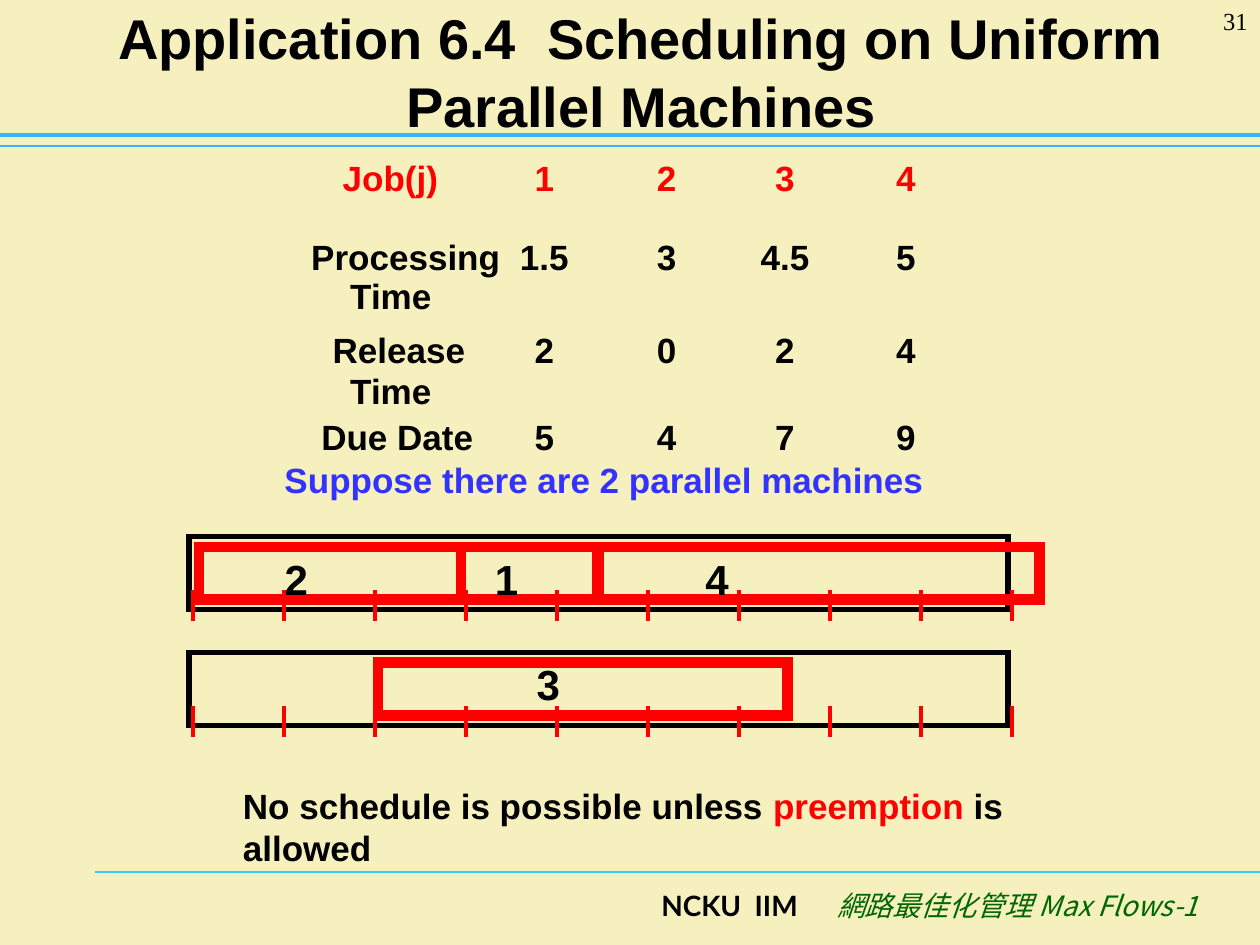
from lxml.etree import SubElement
from pptx import Presentation
from pptx.dml.color import RGBColor
from pptx.enum.shapes import MSO_CONNECTOR, MSO_SHAPE
from pptx.enum.text import MSO_ANCHOR, PP_ALIGN
from pptx.oxml.ns import qn
from pptx.util import Inches, Pt

COLORS = {
    "background": "F5F0BD",
    "black": "000000",
    "red": "FF0000",
    "blue": "3333FF",
    "green": "006600",
    "sky": "3DB0FF",
    "cyan": "33CCFF",
}


def rgb(name):
    return RGBColor.from_string(COLORS[name])


class SlideBuilder:
    def __init__(self, slide, font="Arial"):
        self.slide = slide
        self.font = font
        fill = slide.background.fill
        fill.solid()
        fill.fore_color.rgb = rgb("background")

    def text(self, x, y, w, h, parts, size=20, align=PP_ALIGN.LEFT,
             anchor=MSO_ANCHOR.TOP, font=None, bold=True, italic=False,
             inset=(0.1, 0.05)):
        """Add a one-paragraph box; parts is a list of (text, color name)."""
        sp = self.slide.shapes.add_textbox(
            Inches(x), Inches(y), Inches(w), Inches(h))
        tf = sp.text_frame
        tf.word_wrap = True
        tf.vertical_anchor = anchor
        tf.margin_left = tf.margin_right = Inches(inset[0])
        tf.margin_top = tf.margin_bottom = Inches(inset[1])
        p = tf.paragraphs[0]
        p.alignment = align
        for content, color in parts:
            r = p.add_run()
            r.text = content
            r.font.size = Pt(size)
            r.font.name = font or self.font
            r.font.bold = bold
            r.font.italic = italic
            r.font.color.rgb = rgb(color)
            ea = SubElement(r.font._element, qn("a:ea"))
            ea.set("typeface", font or self.font)

    def line(self, x1, y1, x2, y2, color, width):
        cn = self.slide.shapes.add_connector(
            MSO_CONNECTOR.STRAIGHT,
            Inches(x1), Inches(y1), Inches(x2), Inches(y2))
        cn.line.color.rgb = rgb(color)
        cn.line.width = Pt(width)
        SubElement(cn._element.spPr, qn("a:effectLst"))

    def frame(self, x, y, w, h, color, width):
        """Add an unfilled rectangle with square corners."""
        sp = self.slide.shapes.add_shape(
            MSO_SHAPE.RECTANGLE, Inches(x), Inches(y), Inches(w), Inches(h))
        sp.shadow.inherit = False
        sp.fill.background()
        sp.line.color.rgb = rgb(color)
        sp.line.width = Pt(width)
        miter = SubElement(sp._element.spPr.find(qn("a:ln")), qn("a:miter"))
        miter.set("lim", "800000")


def add_master_parts(s):
    s.line(0.75, 6.92, 10, 6.92, "cyan", 0.75)
    s.line(0, 1.16, 10, 1.16, "sky", 0.75)
    s.line(0, 1.07, 10, 1.07, "sky", 2.5)
    s.text(4.43, 7, 2, 0.5, [("NCKU  IIM", "black")], size=16,
           align=PP_ALIGN.RIGHT, font="Lato")
    s.text(6.43, 7, 3.18, 0.5, [("網路最佳化管理 Max Flows-1", "green")], size=16,
           align=PP_ALIGN.RIGHT, font="Noto Sans CJK SC", bold=False,
           italic=True)
    s.text(9.17, 0, 0.83, 0.5, [("31", "black")], size=14,
           align=PP_ALIGN.RIGHT, font="Times New Roman", bold=False)


def add_job_data(s):
    # label, left, width, top
    labels = [
        ("Job(j)", 2.72, 0.9, 1.24),
        ("Processing", 2.47, 1.62, 1.87),
        ("Time", 2.78, 0.8, 2.18),
        ("Release", 2.64, 1.2, 2.61),
        ("Time", 2.78, 0.8, 2.93),
        ("Due Date", 2.55, 1.4, 3.3),
    ]
    rows = [
        (1.24, ["1", "2", "3", "4"]),
        (1.87, ["1.5", "3", "4.5", "5"]),
        (2.61, ["2", "0", "2", "4"]),
        (3.3, ["5", "4", "7", "9"]),
    ]
    centers = [4.32, 5.29, 6.23, 7.19]
    header_top = rows[0][0]

    for label, x, w, y in labels:
        color = "red" if y == header_top else "black"
        s.text(x, y, w, 0.33, [(label, color)], inset=(0, 0))
    for y, values in rows:
        color = "red" if y == header_top else "black"
        for center, value in zip(centers, values):
            w = 0.45 if "." in value else 0.2
            s.text(center - w / 2, y, w, 0.33, [(value, color)],
                   align=PP_ALIGN.CENTER, inset=(0, 0))


def add_schedule(s):
    machine_tops = [4.26, 5.18]
    periods = 9
    first_tick, last_tick = 1.53, 8.03
    step = (last_tick - first_tick) / periods
    # job, machine, bar left, bar width, label left, label top
    jobs = [
        ("2", 0, 1.58, 2.08, 2.16, 4.34),
        ("1", 0, 3.66, 1.08, 3.83, 4.34),
        ("3", 1, 3, 3.25, 4.16, 5.18),
        ("4", 0, 4.75, 3.5, 5.5, 4.34),
    ]

    for top in machine_tops:
        s.frame(1.5, top, 6.5, 0.58, "black", 3)
    for top in machine_tops:
        for i in range(periods + 1):
            x = first_tick + i * step
            s.line(x, top + 0.42, x, top + 0.67, "red", 2.25)
    for job, machine, x, w, label_x, label_y in jobs:
        s.frame(x, machine_tops[machine] + 0.08, w, 0.42, "red", 6)
    for job, machine, x, w, label_x, label_y in jobs:
        s.text(label_x, label_y, 0.92, 0.5, [(job, "black")], size=24)


def main():
    prs = Presentation()
    prs.slide_width, prs.slide_height = Inches(10), Inches(7.5)
    s = SlideBuilder(prs.slides.add_slide(prs.slide_layouts[6]))

    add_master_parts(s)
    s.text(0.43, 0.13, 9.32, 0.87,
           [("Application 6.4  Scheduling on Uniform Parallel Machines",
             "black")],
           size=32, align=PP_ALIGN.CENTER, anchor=MSO_ANCHOR.MIDDLE)
    add_job_data(s)
    s.text(2.16, 3.59, 5.83, 0.44,
           [("Suppose there are 2 parallel machines", "blue")])
    add_schedule(s)
    s.text(1.83, 6.18, 7, 0.77,
           [("No schedule is possible unless ", "black"),
            ("preemption", "red"), (" is allowed", "black")])
    prs.save("out.pptx")


if __name__ == "__main__":
    main()
